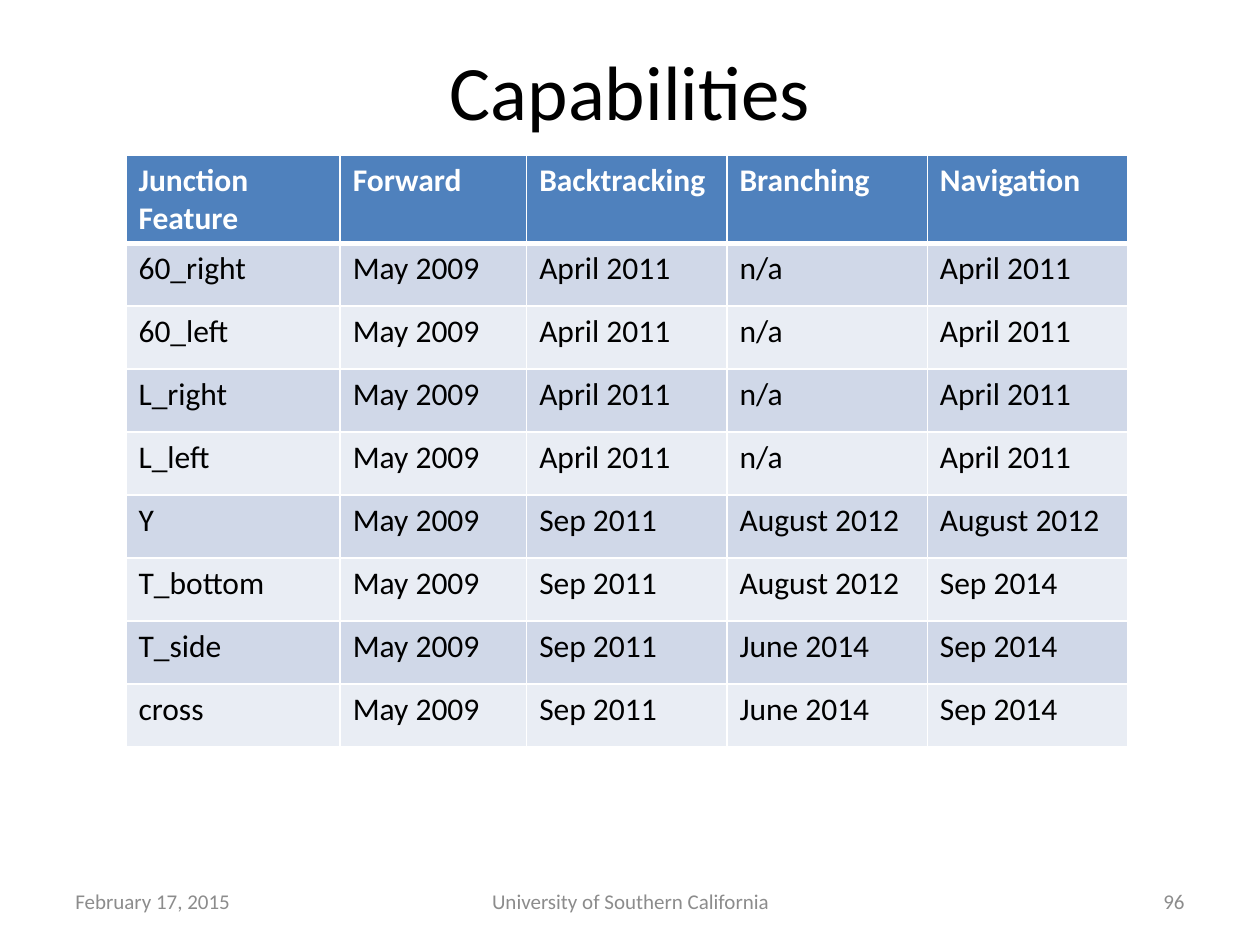
import pptx
import pptx.dml.color
import pptx.enum.text
import pptx.oxml
import pptx.oxml.ns
import pptx.util
from pptx.enum.text import MSO_ANCHOR, PP_ALIGN

FONT = "Calibri"
BLACK = pptx.dml.color.RGBColor(0x00, 0x00, 0x00)
WHITE = pptx.dml.color.RGBColor(0xFF, 0xFF, 0xFF)
GRAY = pptx.dml.color.RGBColor(0x8C, 0x8C, 0x8C)
HEADER_BLUE = pptx.dml.color.RGBColor(0x4F, 0x81, 0xBD)
BAND_DARK = pptx.dml.color.RGBColor(0xD0, 0xD8, 0xE8)
BAND_LIGHT = pptx.dml.color.RGBColor(0xE9, 0xED, 0xF4)

SLIDE_WIDTH = pptx.util.Inches(10)
SLIDE_HEIGHT = pptx.util.Inches(7.5)

COLUMN_WIDTHS = [1.7, 1.48, 1.59, 1.59, 1.59]
HEADER_HEIGHT = 0.67
ROW_HEIGHT = 0.5
CAPABILITIES = [
    ["Junction Feature", "Forward", "Backtracking", "Branching", "Navigation"],
    ["60_right", "May 2009", "April 2011", "n/a", "April 2011"],
    ["60_left", "May 2009", "April 2011", "n/a", "April 2011"],
    ["L_right", "May 2009", "April 2011", "n/a", "April 2011"],
    ["L_left", "May 2009", "April 2011", "n/a", "April 2011"],
    ["Y", "May 2009", "Sep 2011", "August 2012", "August 2012"],
    ["T_bottom", "May 2009", "Sep 2011", "August 2012", "Sep 2014"],
    ["T_side", "May 2009", "Sep 2011", "June 2014", "Sep 2014"],
    ["cross", "May 2009", "Sep 2011", "June 2014", "Sep 2014"],
]
# Text, left and width in inches, alignment
FOOTERS = [
    ("February 17, 2015", 0.5, 2.33, PP_ALIGN.LEFT),
    ("University of Southern California", 3.42, 3.17, PP_ALIGN.CENTER),
    ("96", 7.17, 2.33, PP_ALIGN.RIGHT),
]


def style_paragraph(paragraph, size, color, bold=False):
    font = paragraph.font
    font.name = FONT
    font.size = pptx.util.Pt(size)
    font.color.rgb = color
    font.bold = bold


def add_text(slide, text, box, size, color, alignment, anchor):
    """Add one line of text; box is left, top, width, height in inches."""
    shape = slide.shapes.add_textbox(*map(pptx.util.Inches, box))
    frame = shape.text_frame
    frame.word_wrap = True
    frame.vertical_anchor = anchor
    paragraph = frame.paragraphs[0]
    paragraph.text = text
    paragraph.alignment = alignment
    style_paragraph(paragraph, size, color)


def set_borders(cell, widths):
    """Draw white borders; widths maps an edge tag to points."""
    properties = cell._tc.get_or_add_tcPr()
    namespace = pptx.oxml.ns.nsdecls("a")
    for position, (edge, width) in enumerate(widths.items()):
        border = pptx.oxml.parse_xml(
            f'<a:{edge} {namespace} w="{pptx.util.Pt(width)}"><a:solidFill>'
            f'<a:srgbClr val="{WHITE}"/></a:solidFill></a:{edge}>'
        )
        properties.insert(position, border)


def fill_cell(cell, text, row):
    is_header = row == 0
    cell.text = text
    style_paragraph(cell.text_frame.paragraphs[0], 18,
                    WHITE if is_header else BLACK, is_header)
    cell.fill.solid()
    band = BAND_DARK if row % 2 else BAND_LIGHT
    cell.fill.fore_color.rgb = HEADER_BLUE if is_header else band
    set_borders(cell, {"lnL": 1, "lnR": 1,
                       "lnT": 3 if row == 1 else 1,
                       "lnB": 3 if is_header else 1})


def add_capability_table(slide, left, top):
    row_heights = [HEADER_HEIGHT] + [ROW_HEIGHT] * (len(CAPABILITIES) - 1)
    size = (sum(COLUMN_WIDTHS), sum(row_heights))
    table = slide.shapes.add_table(
        len(row_heights), len(COLUMN_WIDTHS),
        *map(pptx.util.Inches, (left, top, *size)),
    ).table
    for column, width in zip(table.columns, COLUMN_WIDTHS):
        column.width = pptx.util.Inches(width)
    for row, (height, texts) in enumerate(zip(row_heights, CAPABILITIES)):
        table.rows[row].height = pptx.util.Inches(height)
        for column, text in enumerate(texts):
            fill_cell(table.cell(row, column), text, row)


def main():
    presentation = pptx.Presentation()
    presentation.slide_width = SLIDE_WIDTH
    presentation.slide_height = SLIDE_HEIGHT
    slide = presentation.slides.add_slide(presentation.slide_layouts[6])

    for text, left, width, alignment in FOOTERS:
        add_text(slide, text, (left, 6.95, width, 0.4), 12, GRAY,
                 alignment, MSO_ANCHOR.MIDDLE)
    add_capability_table(slide, 1, 1.23)
    add_text(slide, "Capabilities", (0.5, 0.3, 9, 1.25), 44, BLACK,
             PP_ALIGN.CENTER, MSO_ANCHOR.TOP)

    presentation.save("out.pptx")


if __name__ == "__main__":
    main()
